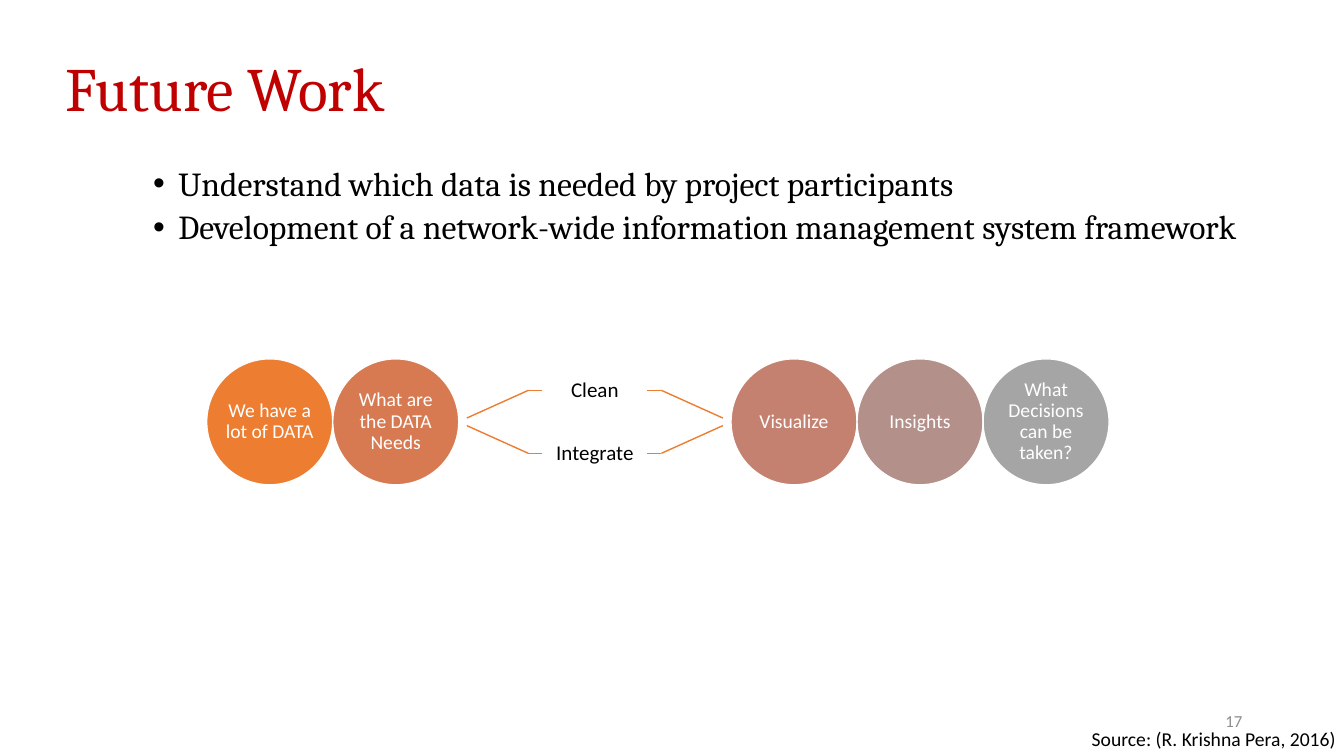
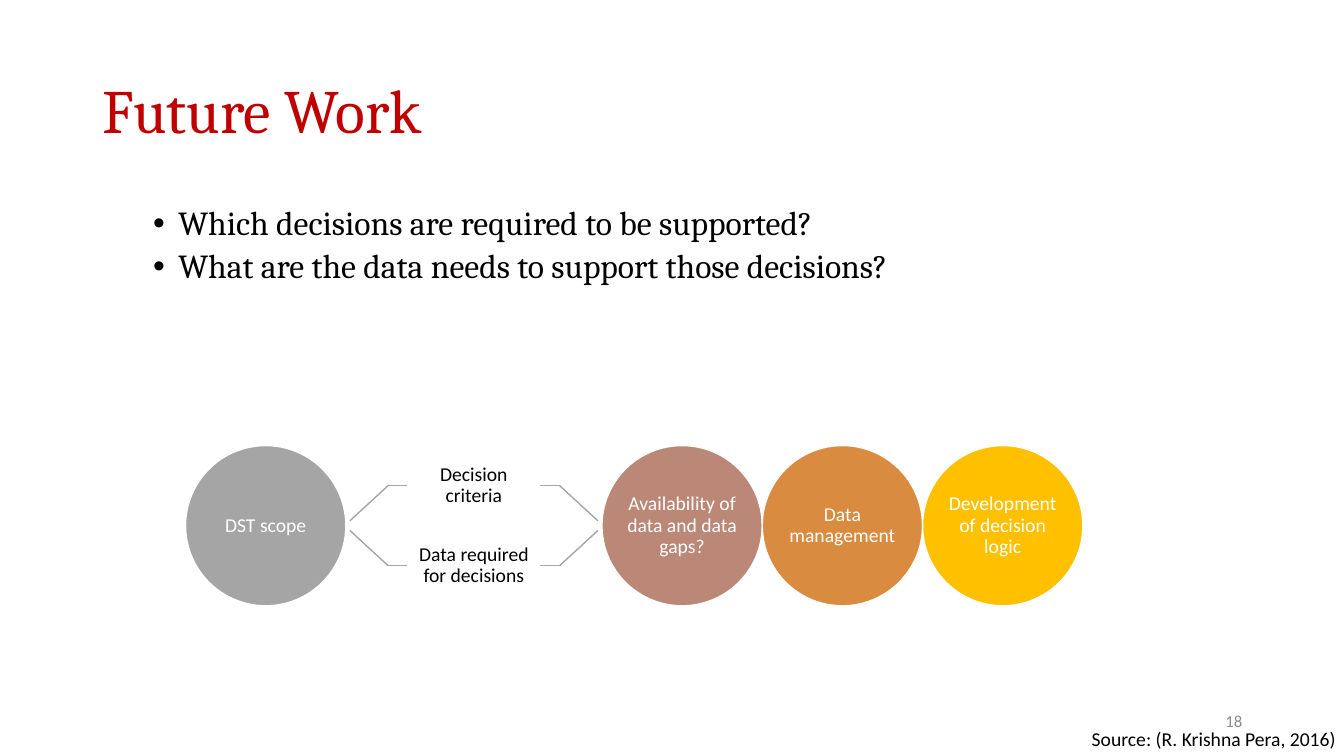
from dataclasses import dataclass

from lxml import etree
from pptx import Presentation
from pptx.dml.color import RGBColor
from pptx.enum import shapes, text
from pptx.oxml import ns
from pptx.util import Inches, Pt


@dataclass(frozen=True)
class Theme:
    heading_font: str = "Cambria"
    body_font: str = "Calibri"
    title_color: str = "C00000"
    ink: str = "000000"
    muted: str = "8C8C8C"
    paper: str = "FFFFFF"
    title_size: int = 44
    bullet_size: int = 24
    source_size: int = 14
    number_size: int = 12
    circle_size: int = 14
    tight: float = 0.9


THEME = Theme()
CENTER, RIGHT = text.PP_ALIGN.CENTER, text.PP_ALIGN.RIGHT
MIDDLE = text.MSO_ANCHOR.MIDDLE

# Each flow holds circles, then a fork of two labels, then more circles.
# Fork distances are measured outwards from the middle of the fork.
SLIDES = [
    dict(
        number="17", title_at=(0.55, 0.18), body_top=1.61,
        bullets=["Understand which data is needed by project participants",
                 "Development of a network-wide information management system framework"],
        diameter=1.25, top=3.56, label_size=15, label_inset=0.12, line="ED7D31",
        label_reach=0.52, bend_reach=0.66, mouth_reach=1.27,
        labels=["Clean", "Integrate"],
        groups=[
            (2.05, [("We have a lot of DATA", "ED7D31"),
                    ("What are the DATA Needs", "D87A51")]),
            (7.25, [("Visualize", "C48170"), ("Insights", "B4908B"),
                    ("What Decisions can be taken?", "A5A5A5")]),
        ],
    ),
    dict(
        number="18", title_at=(0.92, 0.4), body_top=2,
        bullets=["Which decisions are required to be supported?",
                 "What are the data needs to support those decisions?"],
        diameter=1.59, top=4.42, label_size=14, label_inset=0.11, line="A5A5A5",
        label_reach=0.66, bend_reach=0.85, mouth_reach=1.23,
        labels=["Decision criteria", "Data required for decisions"],
        groups=[
            (1.84, [("DST scope", "A5A5A5")]),
            (5.97, [("Availability of data and data gaps?", "BB8776"),
                    ("Data management", "D98B3F"),
                    ("Development of decision logic", "FFC000")]),
        ],
    ),
]


def write(shape, lines, size, color, font=THEME.body_font, align=None, anchor=None,
          inset=None, spacing=None, bulleted=False, wrap=True):
    """Fill a shape with one paragraph per line, all in one style."""
    frame = shape.text_frame
    frame.word_wrap = wrap
    if anchor is not None:
        frame.vertical_anchor = anchor
    if inset is not None:
        frame.margin_left = frame.margin_right = Inches(inset)
        frame.margin_top = frame.margin_bottom = Inches(inset)
    for index, line in enumerate(lines):
        para = frame.add_paragraph() if index else frame.paragraphs[0]
        if bulleted:
            props = para._p.get_or_add_pPr()
            props.set("marL", str(Inches(0.75)))
            props.set("indent", str(Inches(-0.25)))
            etree.SubElement(props, ns.qn("a:buFont")).set("typeface", "Arial")
            etree.SubElement(props, ns.qn("a:buChar")).set("char", "•")
            if index:
                para.space_before = Pt(5)
        para.alignment = align
        para.line_spacing = spacing
        span = para.add_run()
        span.text = line
        span.font.name = font
        span.font.size = Pt(size)
        span.font.color.rgb = RGBColor.from_string(color)


def add_box(page, left, top, width, height):
    return page.shapes.add_textbox(Inches(left), Inches(top), Inches(width), Inches(height))


deck = Presentation()
deck.slide_width, deck.slide_height = Inches(13.33), Inches(7.5)

for content in SLIDES:
    page = deck.slides.add_slide(deck.slide_layouts[6])
    write(add_box(page, *content["title_at"], 11.5, 1.45), ["Future Work"],
          THEME.title_size, THEME.title_color, THEME.heading_font,
          anchor=MIDDLE, spacing=THEME.tight)
    write(add_box(page, 0.92, content["body_top"], 11.5, 1.2), content["bullets"],
          THEME.bullet_size, THEME.ink, THEME.heading_font,
          spacing=THEME.tight, bulleted=True)
    write(add_box(page, 9.42, 6.95, 3, 0.4), [content["number"]],
          THEME.number_size, THEME.muted, align=RIGHT, anchor=MIDDLE)

    diameter, top = content["diameter"], content["top"]
    for left, circles in content["groups"]:
        for index, (caption, color) in enumerate(circles):
            circle = page.shapes.add_shape(
                shapes.MSO_SHAPE.OVAL, Inches(left + index * diameter), Inches(top),
                Inches(diameter), Inches(diameter))
            circle.shadow.inherit = False
            circle.fill.solid()
            circle.fill.fore_color.rgb = RGBColor.from_string(color)
            circle.line.color.rgb = RGBColor.from_string(THEME.paper)
            circle.line.width = Pt(1)
            write(circle, [caption], THEME.circle_size, THEME.paper, align=CENTER,
                  anchor=MIDDLE, inset=0, spacing=THEME.tight)

    # The fork sits midway between the two groups of circles.
    (first_left, first_circles), (second_left, _) = content["groups"]
    fork_x = (first_left + len(first_circles) * diameter + second_left) / 2
    fork_y = top + diameter / 2
    reach = content["label_reach"]
    for label, down in zip(content["labels"], (-1, 1)):
        row_y = fork_y + down * diameter / 4
        mouth_y = fork_y + down * diameter * 0.03
        write(add_box(page, fork_x - reach, row_y - diameter / 4, 2 * reach, diameter / 2),
              [label], content["label_size"], THEME.ink, align=CENTER, anchor=MIDDLE,
              inset=content["label_inset"], spacing=THEME.tight)
        for side in (-1, 1):
            mouth = (fork_x + side * content["mouth_reach"], mouth_y)
            bend = (fork_x + side * content["bend_reach"], row_y)
            label_edge = (fork_x + side * reach, row_y)
            for start, end in ((mouth, bend), (bend, label_edge)):
                branch = page.shapes.add_connector(
                    shapes.MSO_CONNECTOR.STRAIGHT, *map(Inches, start + end))
                branch.line.color.rgb = RGBColor.from_string(content["line"])
                branch.line.width = Pt(1)
                etree.SubElement(branch._element.spPr, ns.qn("a:effectLst"))

    write(add_box(page, 10.73, 7.16, 2.64, 0.34), ["Source: (R. Krishna Pera, 2016)"],
          THEME.source_size, THEME.ink, wrap=False)

deck.save("out.pptx")
